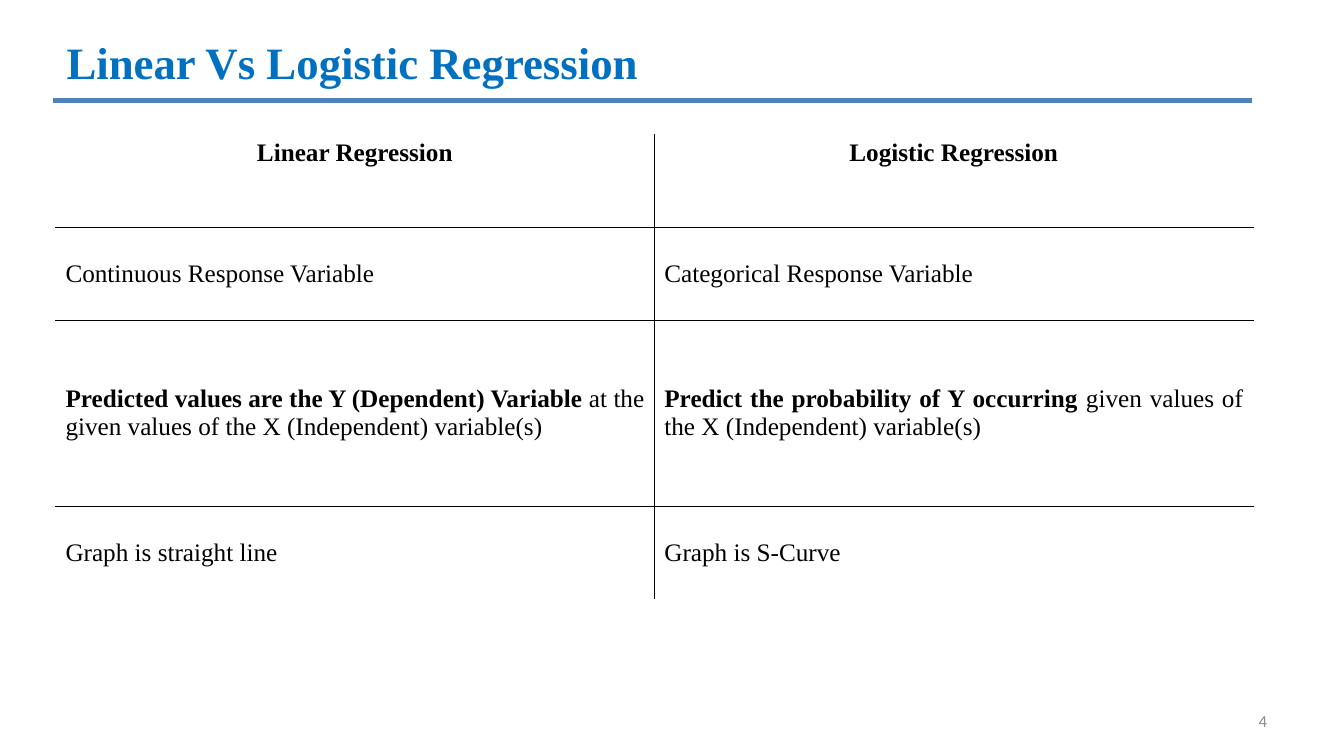
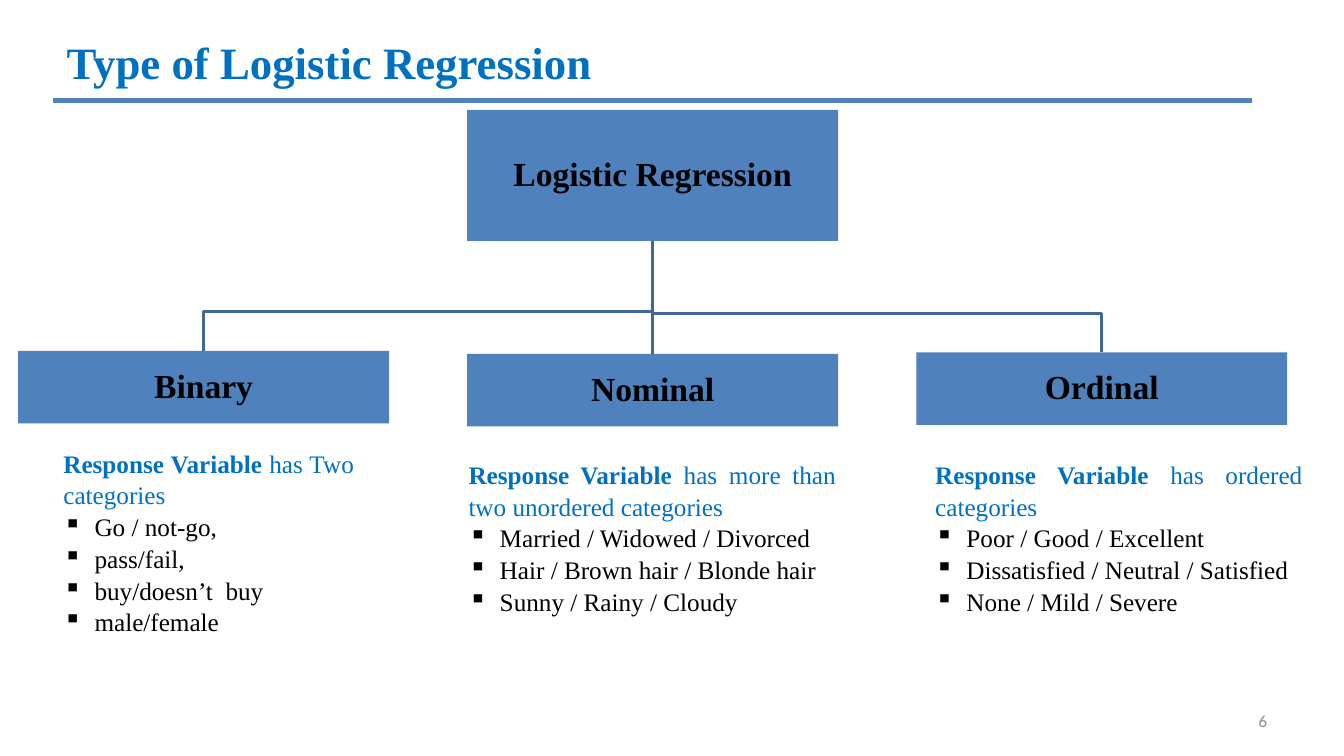
from dataclasses import dataclass

from lxml import etree
from pptx import Presentation
from pptx import util as u
from pptx.dml.color import RGBColor
from pptx.enum import shapes, text
from pptx.oxml import ns


@dataclass(frozen=True)
class Theme:
    ink: str = "000000"
    accent: str = "0070C0"
    band: str = "4F81BD"
    branch: str = "3F6797"
    muted: str = "8C8C8C"
    serif: str = "Times New Roman"
    sans: str = "Calibri"
    title: int = 32
    box: int = 24
    body: int = 18
    number: int = 12
    rule: float = 3.5
    branch_line: int = 2
    border: int = 1


COLS, ROWS = 160, 90
CELL = u.Inches(7.5) / ROWS
CENTER, JUSTIFY = text.PP_ALIGN.CENTER, text.PP_ALIGN.JUSTIFY
MIDDLE = text.MSO_ANCHOR.MIDDLE


def grid(*units):
    return [u.Emu(round(n * CELL)) for n in units]


class Deck:
    def __init__(self, theme):
        self.theme = theme
        self.prs = Presentation()
        self.prs.slide_width, self.prs.slide_height = grid(COLS, ROWS)
        self.slide = None

    def put_text(self, p, lead, rest="", size=None, color=None, font=None, bold=True, align=CENTER):
        p.text = lead
        if rest:
            p.add_run().text = rest
        p.alignment = align
        for i, r in enumerate(p.runs):
            r.font.name = font or self.theme.serif
            r.font.size = u.Pt(size or self.theme.body)
            r.font.bold = bold and i == 0
            r.font.color.rgb = RGBColor.from_string(color or self.theme.ink)

    def stroke(self, sp, color, width):
        sp.line.color.rgb = RGBColor.from_string(color)
        sp.line.width = u.Pt(width)

    def line(self, x1, y1, x2, y2, color, width):
        sp = self.slide.shapes.add_connector(shapes.MSO_CONNECTOR.STRAIGHT, *grid(x1, y1, x2, y2))
        self.stroke(sp, color, width)
        etree.SubElement(sp._element.spPr, ns.qn("a:effectLst"))

    def textbox(self, x, y, w, h):
        tf = self.slide.shapes.add_textbox(*grid(x, y, w, h)).text_frame
        tf.word_wrap = True
        return tf

    def start(self, title, number):
        t = self.theme
        self.slide = self.prs.slides.add_slide(self.prs.slide_layouts[5])
        sp = self.slide.shapes.title
        sp.left, sp.top, sp.width, sp.height = grid(6.6, 3.12, 144, 8.4)
        tf = sp.text_frame
        tf.auto_size = text.MSO_AUTO_SIZE.NONE
        tf.vertical_anchor = MIDDLE
        self.put_text(tf.paragraphs[0], title, size=t.title, color=t.accent, align=JUSTIFY)
        tf.paragraphs[0]._p.get_or_add_pPr().set("marL", str(u.Inches(0.01)))
        self.line(6.36, 12, 149.04, 12, t.band, t.rule)
        tf = self.textbox(114.72, 83.4, 37.32, 4.8)
        tf.vertical_anchor = MIDDLE
        self.put_text(tf.paragraphs[0], str(number), size=t.number, color=t.muted,
                      font=t.sans, bold=False, align=text.PP_ALIGN.RIGHT)

    def border(self, cell, sides):
        tc_pr = cell._tc.get_or_add_tcPr()
        for i, side in enumerate(sides):
            ln = etree.Element(ns.qn(f"a:ln{side}"), w=str(u.Pt(self.theme.border)))
            fill = etree.SubElement(ln, ns.qn("a:solidFill"))
            etree.SubElement(fill, ns.qn("a:srgbClr"), val=self.theme.ink)
            tc_pr.insert(i, ln)

    def table(self, x, y, w, unit, weights, rows):
        n, m = len(rows), len(rows[0])
        frame = self.slide.shapes.add_table(n, m, *grid(x, y, w, unit * sum(weights)))
        tbl = frame.table
        tbl.first_row = tbl.horz_banding = False
        for col in tbl.columns:
            col.width, = grid(w / m)
        for i, row in enumerate(rows):
            tbl.rows[i].height, = grid(unit * weights[i])
            for j, (lead, rest) in enumerate(row):
                cell = tbl.cell(i, j)
                cell.fill.background()
                inner = {"L": j > 0, "R": j < m - 1, "T": i > 0, "B": i < n - 1}
                self.border(cell, [side for side, drawn in inner.items() if drawn])
                header = i == 0
                if not header:
                    cell.vertical_anchor = MIDDLE
                self.put_text(cell.text_frame.paragraphs[0], lead, rest,
                              bold=header or bool(rest), align=CENTER if header else JUSTIFY)

    def box(self, x, y, w, h, label):
        sp = self.slide.shapes.add_shape(shapes.MSO_SHAPE.RECTANGLE, *grid(x, y, w, h))
        sp.shadow.inherit = False
        sp.fill.solid()
        sp.fill.fore_color.rgb = RGBColor.from_string(self.theme.band)
        sp.line.fill.background()
        tf = sp.text_frame
        tf.margin_left = tf.margin_right = tf.margin_top = tf.margin_bottom = u.Inches(0.02)
        tf.vertical_anchor = MIDDLE
        self.put_text(tf.paragraphs[0], label, size=self.theme.box)
        tf.paragraphs[0].line_spacing = 0.9

    def branch(self, x1, y1, x2, y2, drop):
        t = self.theme
        if x1 == x2:
            self.line(x1, y1, x2, y2, t.branch, t.branch_line)
            return
        points = [grid(*pt) for pt in ((x1, y1), (x1, y2 - drop), (x2, y2 - drop), (x2, y2))]
        builder = self.slide.shapes.build_freeform(*points[0])
        builder.add_line_segments(points[1:], close=False)
        sp = builder.convert_to_shape()
        sp.shadow.inherit = False
        sp.fill.background()
        self.stroke(sp, t.branch, t.branch_line)

    def bullets(self, x, y, w, h, lead, rest, items):
        tf = self.textbox(x, y, w, h)
        self.put_text(tf.paragraphs[0], lead, rest, color=self.theme.accent, align=JUSTIFY)
        for item in items:
            p = tf.add_paragraph()
            self.put_text(p, item, bold=False, align=JUSTIFY)
            p_pr = p._p.get_or_add_pPr()
            p_pr.set("marL", str(u.Inches(0.31)))
            p_pr.set("indent", str(-u.Inches(0.31)))
            etree.SubElement(p_pr, ns.qn("a:buChar"), char="▪")
        for p in tf.paragraphs:
            p.line_spacing = 1.05


def comparison(deck):
    deck.start("Linear Vs Logistic Regression", 4)
    rows = [
        [("Linear Regression", ""), ("Logistic Regression", "")],
        [("Continuous Response Variable", ""), ("Categorical Response Variable", "")],
        [("Predicted values are the Y (Dependent) Variable ",
          "at the given values of the X (Independent) variable(s)"),
         ("Predict the probability of Y occurring ",
          "given values of the X (Independent) variable(s)")],
        [("Graph is straight line", ""), ("Graph is S-Curve", "")],
    ]
    deck.table(6.6, 16, 142.6, 11.07, [1, 1, 2, 1], rows)


def types(deck):
    deck.start("Type of Logistic Regression", 6)
    left, pitch, width = 2.16, 53.46, 44.16
    root_top, root_height, child_height = 13.08, 15.6, 8.64
    root_bottom = root_top + root_height
    root_x = left + pitch
    kinds = [
        ("Binary", 41.76, (6.36, 52.56, 36.96, 23.04), "has Two categories",
         ["Go / not-go,", "pass/fail,", "buy/doesn’t  buy", "male/female"]),
        ("Nominal", 42.12, (54.6, 53.88, 46.08, 19.44), "has more than two unordered categories",
         ["Married / Widowed / Divorced", "Hair / Brown hair / Blonde hair",
          "Sunny / Rainy / Cloudy"]),
        ("Ordinal", 41.94, (110.16, 53.88, 46.08, 19.44), "has ordered categories",
         ["Poor / Good / Excellent", "Dissatisfied / Neutral / Satisfied",
          "None / Mild / Severe"]),
    ]
    for i, (name, top, area, rest, items) in enumerate(kinds):
        x = left + i * pitch
        deck.branch(root_x + width / 2, root_bottom, x + width / 2, top, 4.65)
        deck.box(x, top, width, child_height, name)
        deck.bullets(*area, "Response Variable ", rest, items)
    deck.box(root_x, root_top, width, root_height, "Logistic Regression")


def main():
    deck = Deck(Theme())
    comparison(deck)
    types(deck)
    deck.prs.save("out.pptx")


if __name__ == "__main__":
    main()
